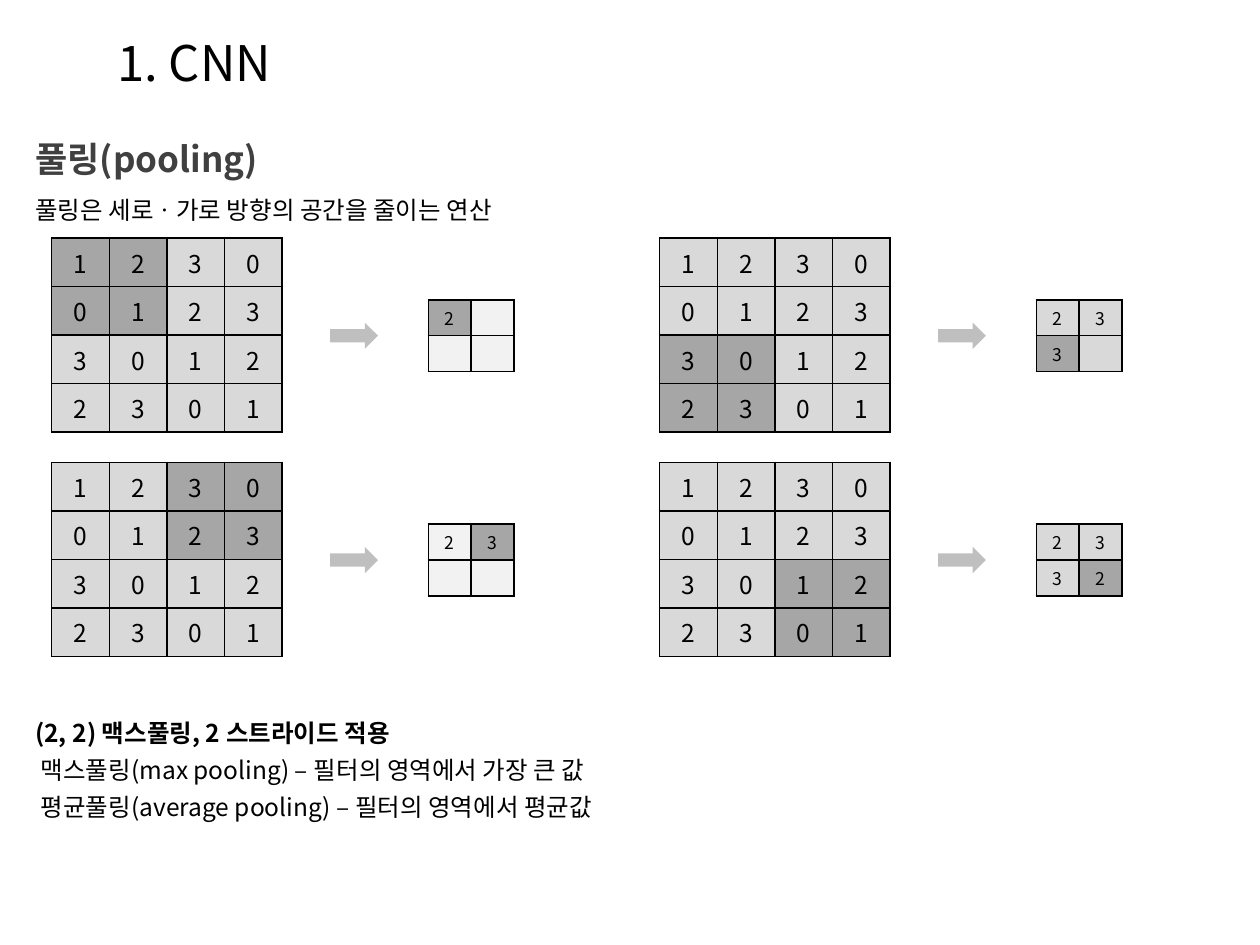
"""Build a slide that walks a 2 by 2 max pooling window over a matrix."""
from dataclasses import dataclass

from lxml import etree
from pptx import Presentation
from pptx import util as u
from pptx.dml.color import RGBColor
from pptx.enum import shapes, text
from pptx.oxml.ns import qn

FONT = "Noto Sans CJK KR"
COLORS = {
    "ink": "000000",
    "heading": "404040",
    "window": "A6A6A6",
    "cell": "D9D9D9",
    "pending": "F2F2F2",
    "arrow": "BFBFBF",
}
WIDTH, HEIGHT = u.Inches(10), u.Inches(7.5)
COLUMN, ROW = WIDTH / 100, HEIGHT / 75
MATRIX = ("1230", "0123", "3012", "2301")


@dataclass(frozen=True)
class Area:
    left: float
    top: float
    width: float
    height: float

    def shifted(self, columns: float, rows: float) -> "Area":
        return Area(self.left + columns, self.top + rows, self.width, self.height)

    def emu(self) -> tuple:
        return (round(self.left * COLUMN), round(self.top * ROW),
                round(self.width * COLUMN), round(self.height * ROW))


@dataclass(frozen=True)
class Line:
    words: str
    size: float
    color: str = "ink"
    bold: bool = False
    spacing: float = 1.25


@dataclass(frozen=True)
class GridStyle:
    size: float
    margin_x: float
    margin_y: float


@dataclass(frozen=True)
class Step:
    across: int
    down: int
    results: tuple
    rest: str


INPUT_AREA = Area(4.1, 18.9, 18.3, 15.4)
OUTPUT_AREA = Area(34, 23.8, 6.8, 5.7)
ARROW_AREA = Area(26.2, 25.6, 3.8, 2.1)
STEP_COLUMNS, STEP_ROWS = 48.25, 17.8
INPUT_STYLE = GridStyle(14, 0.7, 0.4)
OUTPUT_STYLE = GridStyle(10, 0.5, 0.3)
STEPS = (
    Step(0, 0, (("2", ""), ("", "")), "pending"),
    Step(0, 1, (("2", "3"), ("", "")), "pending"),
    Step(1, 0, (("2", "3"), ("3", "")), "cell"),
    Step(1, 1, (("2", "3"), ("3", "2")), "cell"),
)

TITLE_AREA = Area(8.3, 2.1, 74.8, 5.7)
HEADING_AREA = Area(2.8, 9.9, 94.5, 4.5)
SUMMARY_AREA = Area(2.8, 14.9, 94.5, 3.2)
NOTES_AREA = Area(2.8, 56.4, 94.5, 10.6)
TITLE = Line("1. CNN", 28, spacing=1)
HEADING = Line("풀링(pooling)", 20, "heading", True, 1.3)
SUMMARY = Line("풀링은 세로ㆍ가로 방향의 공간을 줄이는 연산", 14)
NOTES = (
    Line("(2, 2) 맥스풀링, 2 스트라이드 적용", 14, bold=True),
    Line(" 맥스풀링(max pooling) – 필터의 영역에서 가장 큰 값", 14),
    Line(" 평균풀링(average pooling) – 필터의 영역에서 평균값", 14),
)


def rgb(name: str) -> RGBColor:
    """Look up a named colour."""
    return RGBColor.from_string(COLORS[name])


def add_span(para, line: Line) -> None:
    """Add one run in the slide's font."""
    span = para.add_run()
    span.text = line.words
    font = span.font
    font.size, font.bold, font.name = u.Pt(line.size), line.bold, FONT
    font.color.rgb = rgb(line.color)
    etree.SubElement(font._rPr, qn("a:ea"), typeface=FONT)


def write_lines(box, area: Area, lines: tuple) -> None:
    """Place a box and fill it with plain, left-aligned lines."""
    box.left, box.top, box.width, box.height = area.emu()
    frame = box.text_frame
    frame.word_wrap = True
    frame.auto_size = text.MSO_AUTO_SIZE.NONE
    frame.vertical_anchor = text.MSO_ANCHOR.TOP
    frame.margin_left = frame.margin_right = frame.margin_top = frame.margin_bottom = 0
    for index, line in enumerate(lines):
        para = frame.add_paragraph() if index else frame.paragraphs[0]
        para.alignment = text.PP_ALIGN.LEFT
        para.line_spacing = line.spacing
        para.space_before = u.Pt(0)
        properties = para._p.get_or_add_pPr()
        properties.set("marL", "0")
        properties.set("indent", "0")
        etree.SubElement(properties, qn("a:buNone"))
        add_span(para, line)


def draw_borders(cell) -> None:
    """Give a cell one-point borders on all sides."""
    properties = cell._tc.get_or_add_tcPr()
    for side in ("lnL", "lnR", "lnT", "lnB"):
        border = etree.SubElement(properties, qn(f"a:{side}"), w=str(u.Pt(1)))
        fill = etree.SubElement(border, qn("a:solidFill"))
        etree.SubElement(fill, qn("a:srgbClr"), val=COLORS["ink"])


def draw_grid(page, area: Area, values: tuple, window: set, rest: str,
              style: GridStyle) -> None:
    """Draw a square table whose window cells are darker."""
    count = len(values)
    left, top, width, height = area.emu()
    table = page.shapes.add_table(count, count, left, top, width, height).table
    table.first_row = table.horz_banding = False
    for index in range(count):
        table.columns[index].width = width // count
        table.rows[index].height = height // count
    for row, numbers in enumerate(values):
        for column, number in enumerate(numbers):
            cell = table.cell(row, column)
            draw_borders(cell)
            cell.fill.solid()
            cell.fill.fore_color.rgb = rgb("window" if (row, column) in window else rest)
            cell.vertical_anchor = text.MSO_ANCHOR.MIDDLE
            cell.margin_left = cell.margin_right = round(style.margin_x * COLUMN)
            cell.margin_top = cell.margin_bottom = round(style.margin_y * ROW)
            para = cell.text_frame.paragraphs[0]
            para.alignment = text.PP_ALIGN.CENTER
            if number:
                add_span(para, Line(number, style.size))
            else:
                etree.SubElement(para._p, qn("a:endParaRPr"), sz=str(style.size * 100))


def draw_step(page, step: Step) -> None:
    """Draw the input matrix, the arrow and the pooled result of one step."""
    shift = (step.across * STEP_COLUMNS, step.down * STEP_ROWS)
    row, column = step.across, step.down
    window = {(2 * row + i, 2 * column + j) for i in range(2) for j in range(2)}
    draw_grid(page, INPUT_AREA.shifted(*shift), MATRIX, window, "cell", INPUT_STYLE)
    draw_grid(page, OUTPUT_AREA.shifted(*shift), step.results, {(row, column)},
              step.rest, OUTPUT_STYLE)
    arrow = page.shapes.add_shape(shapes.MSO_SHAPE.RIGHT_ARROW,
                                  *ARROW_AREA.shifted(*shift).emu())
    arrow.shadow.inherit = False
    arrow.fill.solid()
    arrow.fill.fore_color.rgb = rgb("arrow")
    arrow.line.fill.background()


def main() -> None:
    """Assemble and save the deck."""
    deck = Presentation()
    deck.slide_width, deck.slide_height = WIDTH, HEIGHT
    page = deck.slides.add_slide(deck.slide_layouts[1])
    title = page.shapes.title
    write_lines(title, TITLE_AREA, (TITLE,))
    title.text_frame.margin_left = COLUMN
    title.text_frame.vertical_anchor = text.MSO_ANCHOR.MIDDLE
    write_lines(page.placeholders[1], NOTES_AREA, NOTES)
    for area, line in ((HEADING_AREA, HEADING), (SUMMARY_AREA, SUMMARY)):
        write_lines(page.shapes.add_textbox(*area.emu()), area, (line,))
    for step in STEPS:
        draw_step(page, step)
    deck.save("out.pptx")


if __name__ == "__main__":
    main()
